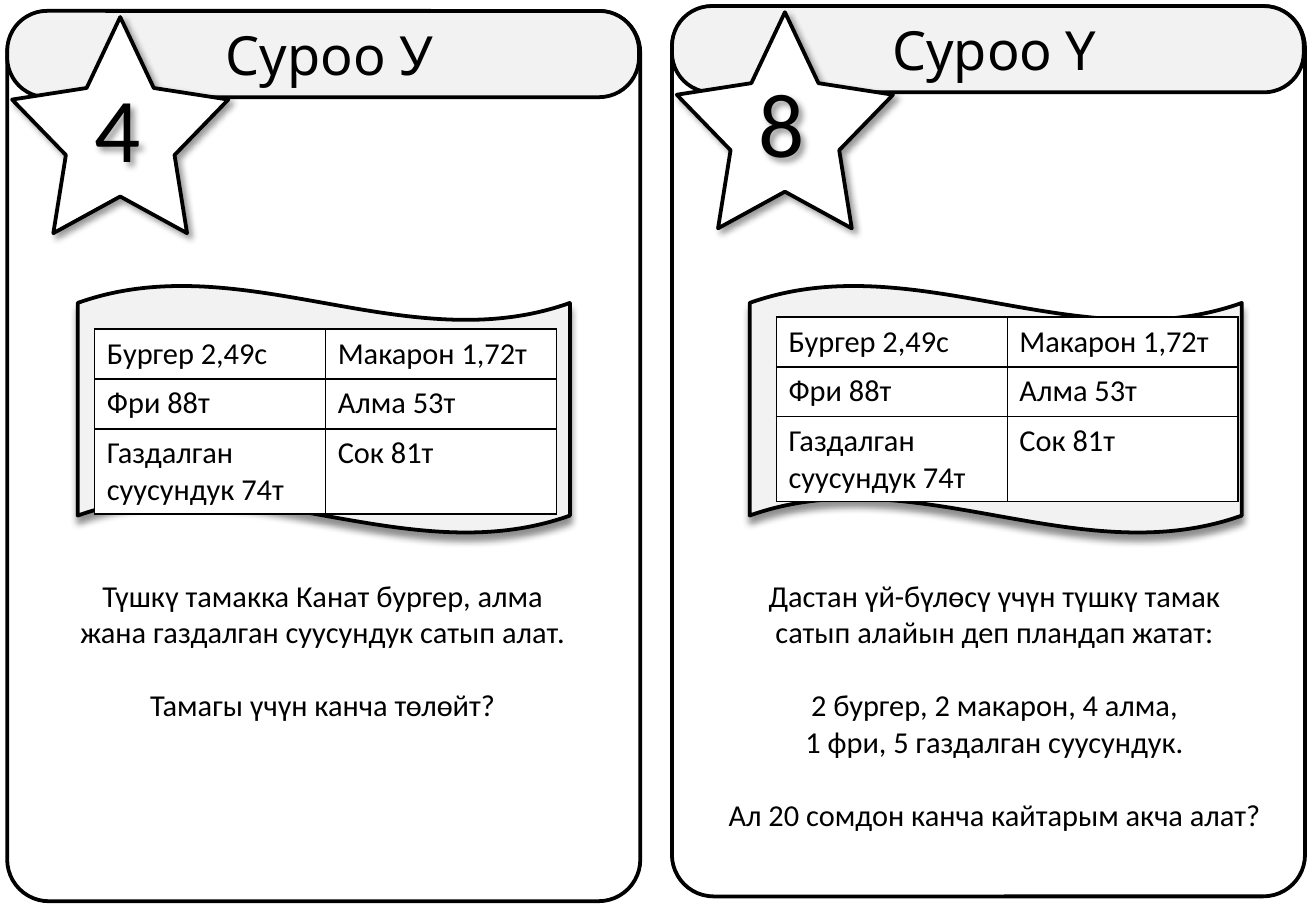
from lxml.etree import SubElement
from pptx import Presentation
from pptx.dml.color import RGBColor
from pptx.enum.shapes import MSO_SHAPE as SHAPE
from pptx.enum.text import MSO_ANCHOR as ANCHOR, MSO_AUTO_SIZE as AUTO, PP_ALIGN as ALIGN
from pptx.oxml.ns import qn
from pptx.util import Inches, Pt

WIDTH, HEIGHT = Inches(10.83), Inches(7.5)
COLORS = {"ink": "000000", "paper": "FFFFFF", "panel": "F2F2F2"}
MENU = [
    ("Бургер 2,49с", "Макарон 1,72т"),
    ("Фри 88т", "Алма 53т"),
    ("Газдалган суусундук 74т", "Сок 81т"),
]
CARDS = [
    dict(
        heading="Суроо У", number="4", left=0.55, top=1.2,
        wave=5.91, menu=(7.2, 36.13), question_box=(4.99, 62.67, 39.06, 17.47),
        heading_idx=0, question_idx=2,
        question=[
            ["Түшкү тамакка Канат бургер, алма", "жана газдалган суусундук сатып алат."],
            ["Тамагы үчүн канча төлөйт?"],
        ],
    ),
    dict(
        heading="Суроо Ү", number="8", left=51.06, top=0.67,
        wave=56.97, menu=(59, 34.8), question_box=(54.2, 62.67, 42.75, 29.6),
        heading_idx=1, question_idx=4,
        question=[
            ["Дастан үй-бүлөсү үчүн түшкү тамак", "сатып алайын деп пландап жатат:"],
            ["2 бургер, 2 макарон, 4 алма,", "1 фри, 5 газдалган суусундук."],
            ["Ал 20 сомдон канча кайтарым акча алат?"],
        ],
    ),
]


def color(name):
    return RGBColor.from_string(COLORS[name])


def share(left, top, width, height):
    return [int(part * full / 100) for part, full in
            zip((left, top, width, height), (WIDTH, HEIGHT, WIDTH, HEIGHT))]


def put_text(tf, blocks, size=18, font="Calibri", align=ALIGN.CENTER, gap=21.6):
    p = None
    for block in blocks:
        for i, line in enumerate(block):
            opens_block = p is not None and i == 0
            p = tf.paragraphs[0] if p is None else tf.add_paragraph()
            pPr = p._p.get_or_add_pPr()
            pPr.set("marL", "0")
            pPr.set("indent", "0")
            SubElement(pPr, qn("a:buNone"))
            p.alignment = align
            p.space_before = Pt(gap if opens_block else 0)
            r = p.add_run()
            r.text = line
            r.font.size, r.font.name, r.font.bold = Pt(size), font, False
            r.font.color.rgb = color("ink")


def add_shadow(sp, alpha, blur, distance, angle):
    sp.shadow.inherit = False
    effects = sp.element.spPr.find(qn("a:effectLst"))
    outer = SubElement(effects, qn("a:outerShdw"), blurRad=str(Pt(blur)),
                       dist=str(Pt(distance)), dir=str(angle * 60000),
                       algn="tl", rotWithShape="0")
    ink = SubElement(outer, qn("a:srgbClr"), val=COLORS["ink"])
    SubElement(ink, qn("a:alpha"), val=str(alpha * 1000))


def add_outline(s, kind, box, adjust, fill=None, shadow=None):
    sp = s.shapes.add_shape(kind, *share(*box))
    sp.adjustments[0] = adjust
    sp.shadow.inherit = False
    if fill:
        sp.fill.solid()
        sp.fill.fore_color.rgb = color(fill)
    else:
        sp.fill.background()
    sp.line.color.rgb = color("ink")
    sp.line.width = Pt(2.25)
    if shadow:
        add_shadow(sp, *shadow)


def fill_placeholder(s, idx, box, blocks, anchor, wrap, **text_format):
    sp = next(ph for ph in s.placeholders if ph.placeholder_format.idx == idx)
    sp.left, sp.top, sp.width, sp.height = share(*box)
    sp.element.getparent().append(sp.element)
    tf = sp.text_frame
    tf.auto_size, tf.word_wrap, tf.vertical_anchor = AUTO.NONE, wrap, anchor
    put_text(tf, blocks, **text_format)


def add_number(s, number, box, shadow):
    sp = s.shapes.add_textbox(*share(*box))
    sp.text_frame.word_wrap = False
    put_text(sp.text_frame, [[number]], size=54)
    add_shadow(sp, *shadow)


def add_borders(cell):
    tcPr = cell._tc.get_or_add_tcPr()
    for i, side in enumerate(("lnL", "lnR", "lnT", "lnB")):
        ln = SubElement(tcPr, qn(f"a:{side}"), w=str(Pt(1)))
        fill = SubElement(ln, qn("a:solidFill"))
        SubElement(fill, qn("a:srgbClr"), val=COLORS["ink"])
        tcPr.insert(i, ln)


def add_menu(s, left, top):
    box = share(left, top, 35.09, 5.47 * len(MENU))
    table = s.shapes.add_table(len(MENU), len(MENU[0]), *box).table
    table.first_row = table.horz_banding = False
    for row, items in enumerate(MENU):
        for col, item in enumerate(items):
            cell = table.cell(row, col)
            cell.fill.solid()
            cell.fill.fore_color.rgb = color("paper")
            add_borders(cell)
            put_text(cell.text_frame, [[item]], align=ALIGN.LEFT)


def add_card(s, card):
    left, top = card["left"], card["top"]
    star_shadow = (40, 4, 3, 45)
    add_outline(s, SHAPE.ROUNDED_RECTANGLE, (left, top, 48.11, 97.73), 0.066)
    add_outline(s, SHAPE.ROUNDED_RECTANGLE, (left, top, 48.01, 9.47), 0.461, "panel")
    fill_placeholder(s, card["heading_idx"], (left + 0.5, top, 48.01, 9.47),
                     [[card["heading"]]], ANCHOR.MIDDLE, True,
                     size=32, font="League Spartan")
    add_outline(s, SHAPE.STAR_5_POINT, (left + 0.37, top + 0.67, 16.44, 23.73),
                0.251, "paper", star_shadow)
    add_number(s, card["number"], (left + 5.63, top + 6, 5.45, 13.47), star_shadow)
    add_outline(s, SHAPE.WAVE, (card["wave"], 31.33, 37.4, 27.2),
                0.071, "panel", (43, 4, 4, 90))
    add_menu(s, *card["menu"])
    fill_placeholder(s, card["question_idx"], card["question_box"],
                     card["question"], ANCHOR.TOP, False)


def main():
    prs = Presentation()
    prs.slide_width, prs.slide_height = WIDTH, HEIGHT
    s = prs.slides.add_slide(prs.slide_layouts.get_by_name("Comparison"))
    for ph in list(s.placeholders):
        if ph.placeholder_format.idx == 3:
            ph.element.getparent().remove(ph.element)
    for card in CARDS:
        add_card(s, card)
    prs.save("out.pptx")


if __name__ == "__main__":
    main()
